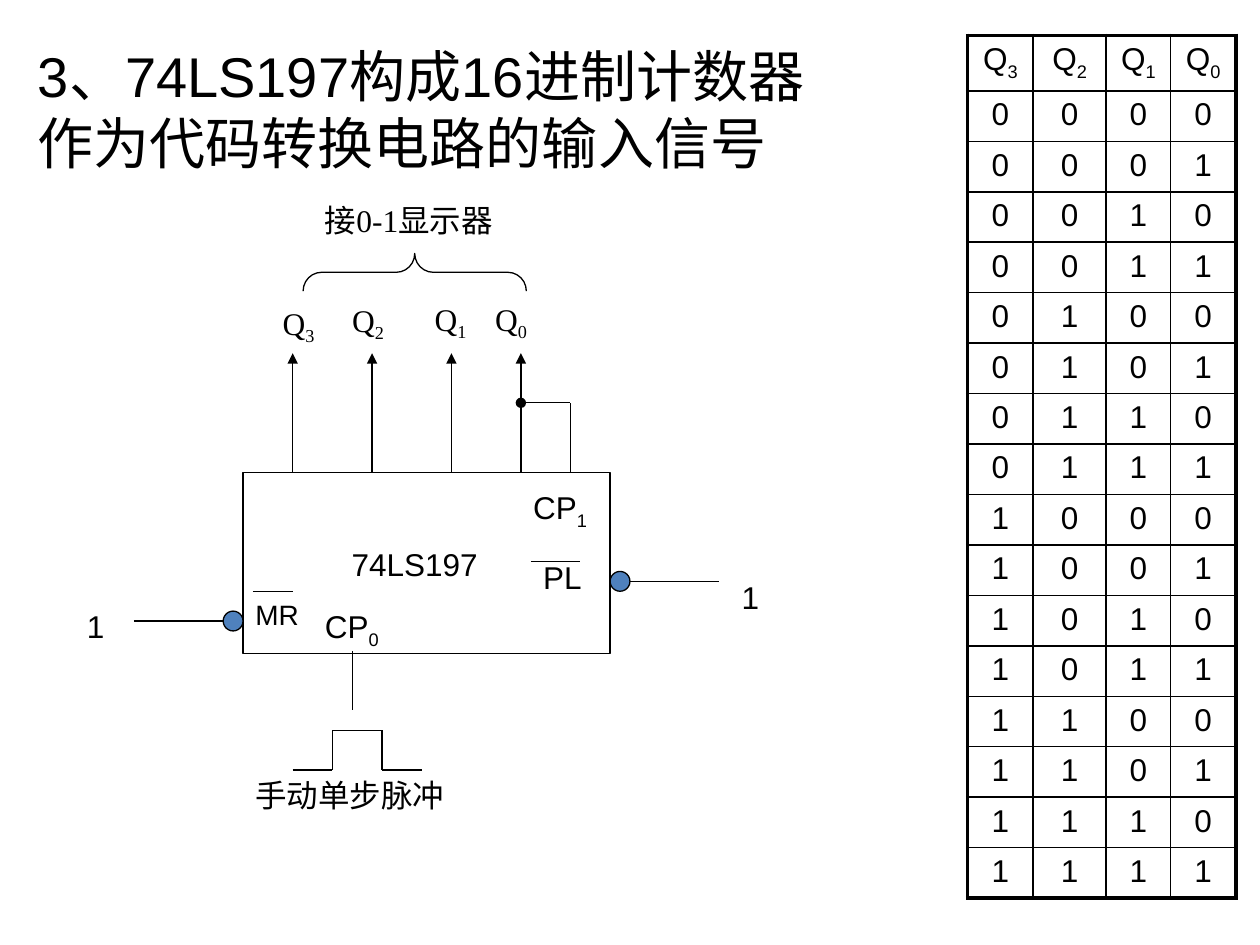
from typing import NamedTuple

from lxml.etree import SubElement
from pptx import Presentation
from pptx.dml.color import RGBColor
from pptx.enum.shapes import MSO_CONNECTOR, MSO_SHAPE
from pptx.enum.text import MSO_ANCHOR, MSO_AUTO_SIZE, PP_ALIGN
from pptx.oxml.ns import qn
from pptx.util import Cm, Inches, Pt

BLACK, WHITE, BLUE = "000000", "FFFFFF", "4F81BD"
SANS, SERIF = "Arial", "Times New Roman"
ORIGIN_X, ORIGIN_Y, PITCH = Cm(0.1), Cm(0.12), Cm(0.2)
CHIP_TOP, ARROW_TIP, FEEDBACK = 47, 35, 40
OUTPUT_COLS = (29, 37, 45, 52)
BITS = (3, 2, 1, 0)


class Area(NamedTuple):
    """Rectangle on the circuit grid."""
    col: float
    row: float
    cols: float
    rows: float


class Label(NamedTuple):
    """Caption; an underscore starts its subscript."""
    text: str
    area: Area
    size: int = 18
    font: str = SANS
    plate: bool = False
    inset: bool = True


class Wire(NamedTuple):
    """Straight line between two grid points."""
    start: tuple[float, float]
    end: tuple[float, float]
    head: str = ""
    tail: str = ""


LABELS = [
    Label("接0-1显示器", Area(31, 19, 21, 5), font=SERIF, plate=True),
    Label("74LS197", Area(33.7, 53.7, 16, 6.5), plate=True),
    *(Label(f"Q_{bit}", Area(col, row, 5, 4.3), font=SERIF, plate=True, inset=False)
      for bit, col, row in zip(BITS, (28, 35, 43.3, 49.4), (30, 29.7, 29.6, 29.6))),
    Label("CP_0", Area(31, 60, 11, 5)),
    Label("CP_1", Area(52, 48, 9, 5)),
    Label("MR", Area(24, 59, 7.6, 4.7), size=16),
    Label("PL", Area(53, 55, 8, 5)),
    Label("1", Area(7, 60, 5, 5)),
    Label("1", Area(73, 57, 5, 5)),
    Label("手动单步脉冲", Area(24, 77, 22, 5)),
]
PULSE = [(29, 77), (33, 77), (33, 73), (38, 73), (38, 77), (42, 77)]
WIRES = [
    *(Wire((col, CHIP_TOP), (col, ARROW_TIP), tail="triangle") for col in OUTPUT_COLS),
    Wire((OUTPUT_COLS[-1], FEEDBACK), (57, FEEDBACK), head="oval"),
    Wire((57, CHIP_TOP), (57, FEEDBACK)),
    Wire((35, 65), (35, 71)),
    *(Wire(start, end) for start, end in zip(PULSE, PULSE[1:])),
    Wire((13, 62), (22, 62)),
    Wire((63, 58), (72, 58)),
    Wire((25, 59), (29, 59)),
    Wire((53, 56), (58, 56)),
]


def colour(code: str) -> RGBColor:
    """Turn a hex string into a colour."""
    return RGBColor.from_string(code)


def at(col: float, row: float) -> tuple[int, int]:
    """Locate a grid point on the slide."""
    return round(ORIGIN_X + col * PITCH), round(ORIGIN_Y + row * PITCH)


def place(area: Area) -> tuple[int, int, int, int]:
    """Give left, top, width and height of a grid area."""
    return *at(area.col, area.row), round(area.cols * PITCH), round(area.rows * PITCH)


def write(frame, text: str, *, size=18, font=SANS, align=PP_ALIGN.LEFT, inset=True) -> None:
    """Fill a text frame, setting what follows an underscore as a subscript."""
    frame.word_wrap = True
    frame.vertical_anchor = MSO_ANCHOR.TOP
    if not inset:
        frame.margin_left = frame.margin_right = frame.margin_top = frame.margin_bottom = 0
    paragraph = frame.paragraphs[0]
    paragraph.alignment = align
    paragraph.space_before = Pt(0)
    for position, part in enumerate(text.split("_")):
        run = paragraph.add_run()
        run.text = part
        run.font.size = Pt(size)
        run.font.name = font
        run.font.color.rgb = colour(BLACK)
        if position:
            run.font._element.set("baseline", "-25000")


def draw_shape(slide, kind: MSO_SHAPE, area: Area, fill: str = "", line: str = BLACK):
    """Draw a thin-lined preset shape."""
    shape = slide.shapes.add_shape(kind, *place(area))
    shape.shadow.inherit = False
    if fill:
        shape.fill.solid()
        shape.fill.fore_color.rgb = colour(fill)
    else:
        shape.fill.background()
    shape.line.color.rgb = colour(line)
    shape.line.width = Pt(0.75)
    return shape


def draw_label(slide, label: Label) -> None:
    """Draw a caption, on a white plate if it has one."""
    if label.plate:
        box = draw_shape(slide, MSO_SHAPE.RECTANGLE, label.area, WHITE, WHITE)
    else:
        box = slide.shapes.add_textbox(*place(label.area))
    align = PP_ALIGN.JUSTIFY if label.plate else PP_ALIGN.LEFT
    write(box.text_frame, label.text, size=label.size, font=label.font,
          align=align, inset=label.inset)


def draw_wire(slide, wire: Wire) -> None:
    """Draw a line with its optional end marks."""
    connector = slide.shapes.add_connector(
        MSO_CONNECTOR.STRAIGHT, *at(*wire.start), *at(*wire.end))
    connector.line.color.rgb = colour(BLACK)
    connector.line.width = Pt(0.75)
    for tag, mark in (("a:headEnd", wire.head), ("a:tailEnd", wire.tail)):
        if mark:
            SubElement(connector.line._ln, qn(tag), type=mark)
    SubElement(connector._element.spPr, qn("a:effectLst"))


def set_borders(cell, widths: dict[str, float]) -> None:
    """Rule the four sides of a cell."""
    properties = cell._tc.get_or_add_tcPr()
    for position, (side, width) in enumerate(widths.items()):
        border = SubElement(properties, qn(f"a:ln{side}"), w=str(Pt(width)))
        SubElement(SubElement(border, qn("a:solidFill")), qn("a:srgbClr"), val=BLACK)
        properties.insert(position, border)


def draw_truth_table(slide) -> None:
    """Draw the sixteen counter states below their output names."""
    rows = [[f"Q_{bit}" for bit in BITS], *(f"{state:04b}" for state in range(16))]
    table = slide.shapes.add_table(
        len(rows), len(BITS), Inches(7.68), Inches(0.28), Inches(2.13), Inches(6.84)).table
    table.first_row = table.horz_banding = False
    for column, width in zip(table.columns, (0.52, 0.58, 0.51, 0.52)):
        column.width = Inches(width)
    for r, values in enumerate(rows):
        table.rows[r].height = Inches(0.4 if r else 0.44)
        for c, value in enumerate(values):
            cell = table.cell(r, c)
            cell.fill.background()
            write(cell.text_frame, value, align=PP_ALIGN.CENTER)
            outer = {"L": c == 0, "R": c == len(BITS) - 1, "T": r == 0, "B": r == len(rows) - 1}
            set_borders(cell, {side: 2.25 if edge else 1 for side, edge in outer.items()})


def main() -> None:
    """Build the counter slide."""
    deck = Presentation()
    deck.slide_width, deck.slide_height = Inches(10), Inches(7.5)
    slide = deck.slides.add_slide(deck.slide_layouts[5])
    title = slide.shapes.title
    title.left, title.top = Inches(0.2), Inches(0.28)
    title.width, title.height = Inches(6.46), Inches(1.18)
    title.text_frame.auto_size = MSO_AUTO_SIZE.NONE
    write(title.text_frame, "3、74LS197构成16进制计数器作为代码转换电路的输入信号", size=32)
    draw_shape(slide, MSO_SHAPE.RECTANGLE, Area(24, CHIP_TOP, 37, 18.3), WHITE)
    brace = draw_shape(slide, MSO_SHAPE.LEFT_BRACE, Area(39.4, 15.6, 3.8, 22.5))
    brace.rotation = 90
    brace.adjustments[0], brace.adjustments[1] = 0.49, 0.5
    for label in LABELS:
        draw_label(slide, label)
    for col, row in ((22, 61), (61, 57)):
        draw_shape(slide, MSO_SHAPE.OVAL, Area(col, row, 2, 2), BLUE)
    for wire in WIRES:
        draw_wire(slide, wire)
    draw_truth_table(slide)
    deck.save("out.pptx")


if __name__ == "__main__":
    main()
